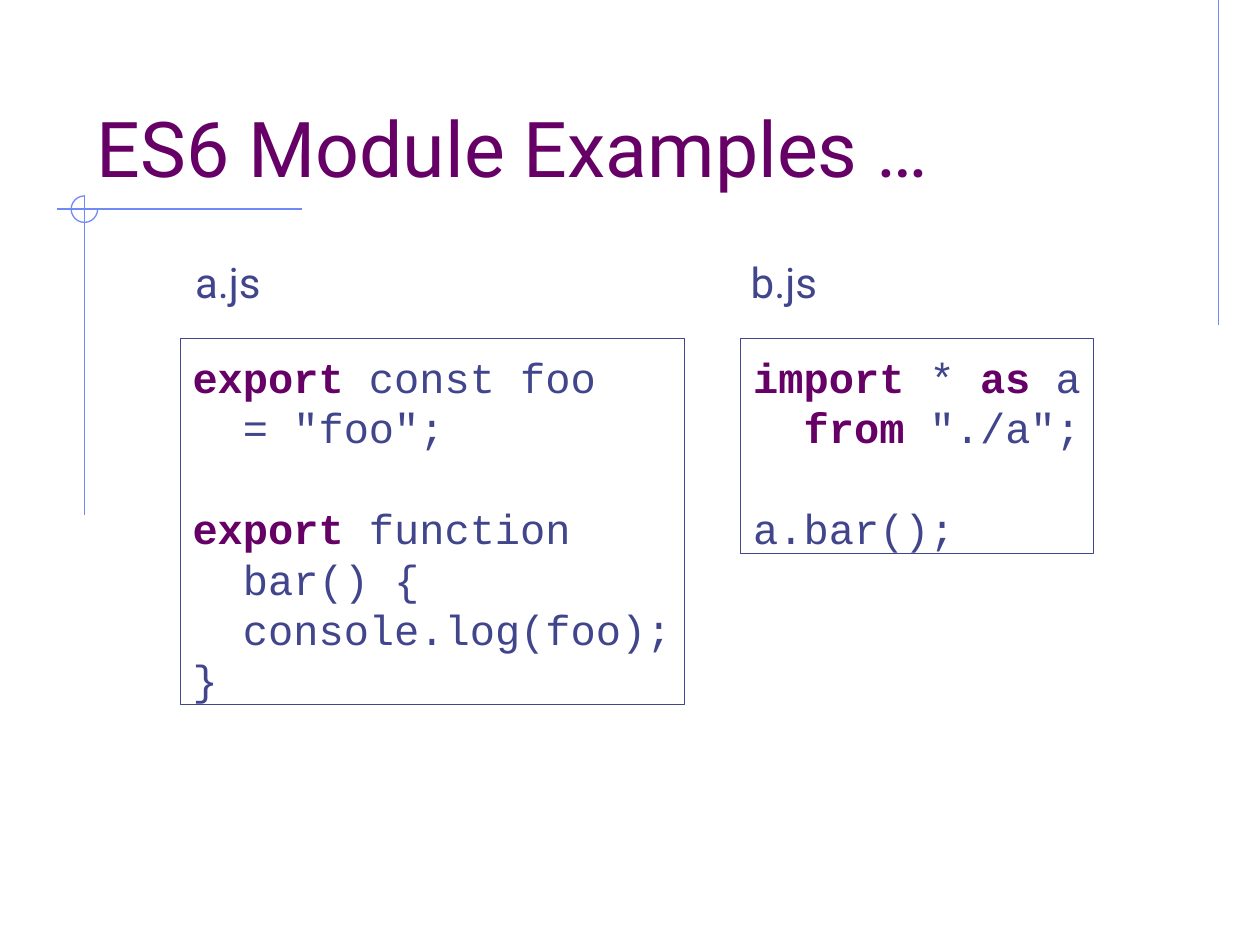
from lxml.etree import SubElement
from pptx import Presentation
from pptx.dml.color import RGBColor
from pptx.enum.shapes import MSO_CONNECTOR, MSO_SHAPE
from pptx.enum.text import MSO_ANCHOR, PP_ALIGN
from pptx.oxml.ns import qn
from pptx.util import Inches, Pt

PURPLE = RGBColor(0x66, 0x00, 0x66)
NAVY = RGBColor(0x40, 0x45, 0x8C)
PERIWINKLE = RGBColor(0x6F, 0x89, 0xF7)

TEXT_FONT = "Roboto"
CODE_FONT = "Courier New"
CODE_SIZE = 24
CODE_LINE = 28.8
CHARACTER_WIDTH = 0.2
KEYWORDS = {"export", "import", "as", "from"}

LABEL_TOP = 1.99
CODE_TOP = 2.69
CROSS_X, CROSS_Y, CROSS_RADIUS = 0.67, 1.66, 0.105

CODE_A = """export const foo
  = "foo";

export function
  bar() {
  console.log(foo);
}"""
CODE_B = """import * as a
  from "./a";

a.bar();"""


def add_line(slide, start, end):
    line = slide.shapes.add_connector(
        MSO_CONNECTOR.STRAIGHT, *(Inches(value) for value in start + end))
    line.line.color.rgb = PERIWINKLE
    line.line.width = Pt(0.75)
    SubElement(line._element.spPr, qn("a:effectLst"))


def add_corner_cross(slide):
    """Crossing lines with a three-quarter circle around the crossing."""
    add_line(slide, (2.4, CROSS_Y), (0.45, CROSS_Y))
    add_line(slide, (CROSS_X, 1.55), (CROSS_X, 4.09))
    arc = slide.shapes.add_shape(
        MSO_SHAPE.ARC, Inches(CROSS_X - CROSS_RADIUS), Inches(CROSS_Y - CROSS_RADIUS),
        Inches(2 * CROSS_RADIUS), Inches(2 * CROSS_RADIUS))
    arc.adjustments[0] = 0
    arc.adjustments[1] = 162  # 270 degrees
    arc.fill.background()
    arc.line.color.rgb = PERIWINKLE
    arc.line.width = Pt(0.75)
    arc.shadow.inherit = False


def add_text(slide, text, box, size, color, wrap=False, anchor=MSO_ANCHOR.TOP):
    shape = slide.shapes.add_textbox(*(Inches(value) for value in box))
    frame = shape.text_frame
    frame.word_wrap = wrap
    frame.vertical_anchor = anchor
    paragraph = frame.paragraphs[0]
    paragraph.text = text
    paragraph.font.name = TEXT_FONT
    paragraph.font.size = Pt(size)
    paragraph.font.color.rgb = color


def write_code_line(paragraph, line):
    """Write one line, with its keywords bold and its indent as a margin."""
    paragraph.alignment = PP_ALIGN.LEFT
    paragraph.line_spacing = Pt(CODE_LINE)
    paragraph.font.name = CODE_FONT
    paragraph.font.size = Pt(CODE_SIZE)
    code = line.lstrip()
    indent = (len(line) - len(code)) * CHARACTER_WIDTH
    if indent:
        paragraph._p.get_or_add_pPr().set("marL", str(Inches(indent)))
    for index, word in enumerate(code.split()):
        run = paragraph.add_run()
        run.text = word if index == 0 else " " + word
        run.font.name = CODE_FONT
        run.font.size = Pt(CODE_SIZE)
        run.font.bold = word in KEYWORDS
        run.font.color.rgb = PURPLE if word in KEYWORDS else NAVY


def add_code_box(slide, code, left):
    """Frame code in a box sized by its longest line and its line count."""
    lines = code.split("\n")
    width = max(map(len, lines)) * CHARACTER_WIDTH + 0.2
    height = len(lines) * CODE_LINE / 72 + 0.1
    shape = slide.shapes.add_shape(
        MSO_SHAPE.RECTANGLE, Inches(left), Inches(CODE_TOP), Inches(width), Inches(height))
    shape.fill.background()
    shape.line.color.rgb = NAVY
    shape.line.width = Pt(0.5)
    shape.shadow.inherit = False
    frame = shape.text_frame
    frame.word_wrap = False
    frame.vertical_anchor = MSO_ANCHOR.TOP
    frame.margin_top = Inches(0.1)
    frame.margin_bottom = 0
    paragraph = frame.paragraphs[0]
    for index, line in enumerate(lines):
        if not line:
            continue
        if index:
            paragraph = frame.add_paragraph()
            if not lines[index - 1]:
                paragraph.space_before = Pt(CODE_LINE)
        write_code_line(paragraph, line)


def main():
    presentation = Presentation()
    presentation.slide_width = Inches(10)
    presentation.slide_height = Inches(7.5)
    slide = presentation.slides.add_slide(presentation.slide_layouts[6])

    add_line(slide, (9.67, 0), (9.67, 2.58))
    add_corner_cross(slide)
    add_text(slide, "ES6 Module Examples …", (0.67, 0.33, 8.5, 1.25), 44, PURPLE,
             wrap=True, anchor=MSO_ANCHOR.BOTTOM)
    for name, code, label_left, code_left in (
            ("a.js", CODE_A, 1.45, 1.43), ("b.js", CODE_B, 5.86, 5.88)):
        add_code_box(slide, code, code_left)
        add_text(slide, name, (label_left, LABEL_TOP, 0.73, 0.5), 24, NAVY)

    presentation.save("out.pptx")


if __name__ == "__main__":
    main()
